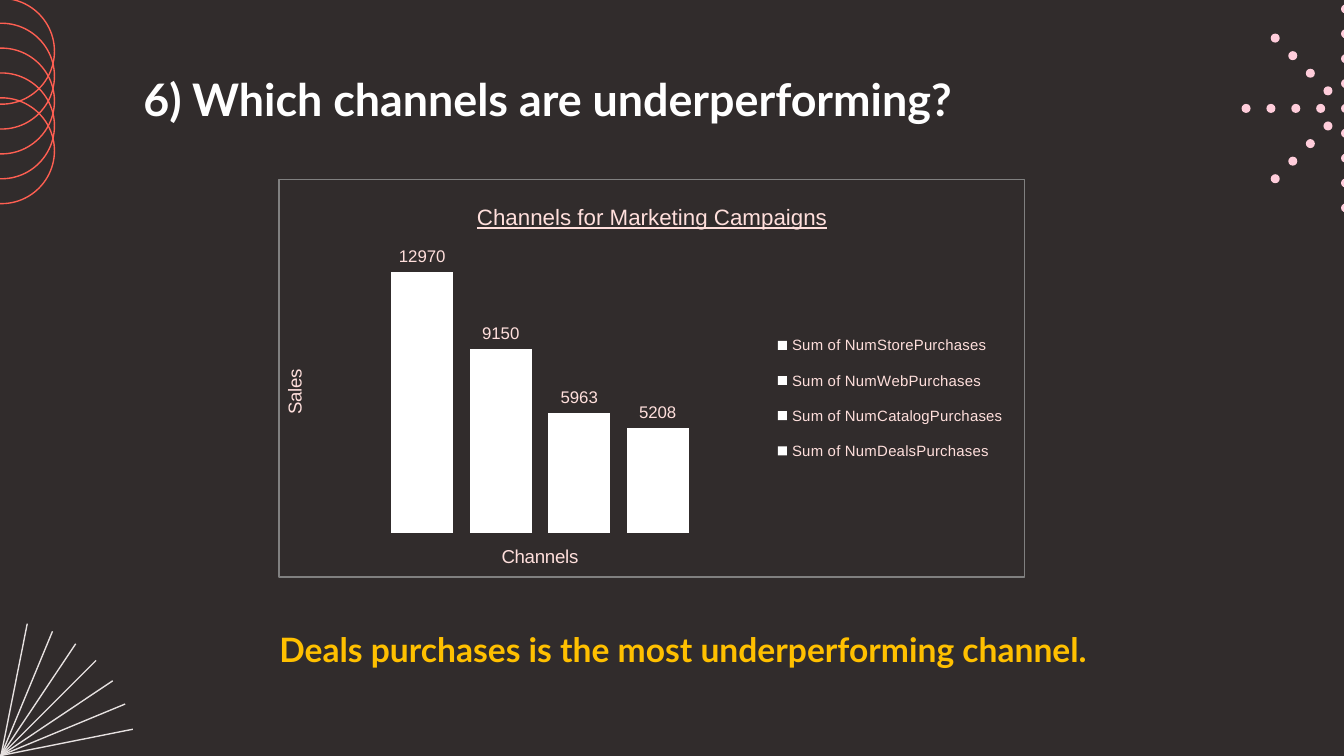
"""Build the slide on underperforming marketing channels."""
from dataclasses import dataclass
from math import cos, radians, sin

from lxml.etree import SubElement
from pptx import Presentation
from pptx.chart.data import CategoryChartData
from pptx.dml.color import RGBColor
from pptx.enum.chart import XL_CHART_TYPE, XL_LABEL_POSITION, XL_LEGEND_POSITION
from pptx.enum.shapes import MSO_CONNECTOR, MSO_SHAPE
from pptx.oxml import parse_xml
from pptx.oxml.ns import nsdecls, qn
from pptx.util import Cm, Pt


@dataclass(frozen=True)
class Theme:
    background: str = "312C2C"
    white: str = "FFFFFF"
    accent: str = "FFC000"
    chart_text: str = "FFDFDC"
    chart_border: str = "808080"
    ray: str = "E6E1E0"
    ring: str = "FF5F52"
    dot: str = "FFCDDB"
    text_font: str = "Lato"
    chart_font: str = "Arial"
    heading_size: int = 24
    conclusion_size: int = 18
    chart_title_size: int = 12
    axis_title_size: int = 10
    label_size: int = 9
    legend_size: int = 8
    line_width: float = 0.75


class SlideBuilder:
    def __init__(self, slide, theme):
        self.slide = slide
        self.theme = theme
        fill = slide.background.fill
        fill.solid()
        fill.fore_color.rgb = RGBColor.from_string(theme.background)

    def style_font(self, font, name, size, color, bold=False):
        font.name = name
        font.size = Pt(size)
        font.bold = bold
        font.color.rgb = RGBColor.from_string(color)

    def text(self, content, left, top, width, height, size, color):
        frame = self.slide.shapes.add_textbox(
            Cm(left), Cm(top), Cm(width), Cm(height)).text_frame
        frame.word_wrap = True
        run = frame.paragraphs[0].add_run()
        run.text = content
        self.style_font(run.font, self.theme.text_font, size, color, bold=True)

    def circle(self, center_x, center_y, diameter, fill=None, line=None):
        shape = self.slide.shapes.add_shape(
            MSO_SHAPE.OVAL, Cm(center_x - diameter / 2),
            Cm(center_y - diameter / 2), Cm(diameter), Cm(diameter))
        shape.shadow.inherit = False
        if fill:
            shape.fill.solid()
            shape.fill.fore_color.rgb = RGBColor.from_string(fill)
        else:
            shape.fill.background()
        if line:
            shape.line.color.rgb = RGBColor.from_string(line)
            shape.line.width = Pt(self.theme.line_width)
        else:
            shape.line.fill.background()

    def line(self, start_x, start_y, end_x, end_y, color):
        connector = self.slide.shapes.add_connector(
            MSO_CONNECTOR.STRAIGHT, Cm(start_x), Cm(start_y), Cm(end_x), Cm(end_y))
        connector.line.color.rgb = RGBColor.from_string(color)
        connector.line.width = Pt(self.theme.line_width)
        SubElement(connector._element.spPr, qn("a:effectLst"))

    def ray_burst(self, center_x, center_y, radius):
        for index in range(1, 8):
            angle = radians(index * 90 / 8)
            across, down = radius * cos(angle), radius * sin(angle)
            self.line(center_x + across, center_y - down,
                      center_x - across, center_y + down, self.theme.ray)

    def ring_stack(self, center_x, first_y, diameter, step, count):
        for index in range(count):
            self.circle(center_x, first_y + index * step, diameter,
                        line=self.theme.ring)

    def dot_star(self, center_x, center_y, diameter, step):
        self.circle(center_x, center_y, diameter, fill=self.theme.dot)
        for degrees in range(90, 271, 45):
            angle = radians(degrees)
            for distance in range(1, 5):
                self.circle(center_x + distance * step * cos(angle),
                            center_y + distance * step * sin(angle),
                            diameter, fill=self.theme.dot)

    def chart_layout(self, element, position, **values):
        for old in element.findall(qn("c:layout")):
            element.remove(old)
        settings = {"xMode": "edge", "yMode": "edge", **values}
        if "layoutTarget" in settings:
            settings = {"layoutTarget": settings.pop("layoutTarget"), **settings}
        entries = "".join(f'<c:{key} val="{value}"/>' for key, value in settings.items())
        element.insert(position, parse_xml(
            f'<c:layout {nsdecls("c")}><c:manualLayout>{entries}'
            '</c:manualLayout></c:layout>'))

    def chart_heading(self, owner, content, size):
        run = owner.text_frame.paragraphs[0].add_run()
        run.text = content
        self.style_font(run.font, self.theme.chart_font, size, self.theme.chart_text)
        return run

    def column_chart(self, title, axis_titles, values, left, top, width, height):
        theme = self.theme
        data = CategoryChartData()
        data.categories = ["1"]
        for name, value in values.items():
            data.add_series(name, [value])
        chart = self.slide.shapes.add_chart(
            XL_CHART_TYPE.COLUMN_CLUSTERED, Cm(left), Cm(top),
            Cm(width), Cm(height), data).chart
        self.style_font(chart.font, theme.chart_font, theme.axis_title_size,
                        theme.chart_text)

        chart.has_title = True
        self.chart_heading(chart.chart_title, title,
                           theme.chart_title_size).font.underline = True
        chart.chart_title.include_in_layout = False
        for axis, heading in zip((chart.category_axis, chart.value_axis), axis_titles):
            axis.visible = False
            axis.has_major_gridlines = False
            axis.has_title = True
            self.chart_heading(axis.axis_title, heading, theme.axis_title_size)
        chart.value_axis.minimum_scale = 0
        chart.value_axis.maximum_scale = 14000

        plot = chart.plots[0]
        plot.gap_width = 219
        plot.overlap = -27
        plot.vary_by_categories = False
        for series in plot.series:
            series.format.fill.solid()
            series.format.fill.fore_color.rgb = RGBColor.from_string(theme.white)
            labels = series.data_labels
            labels.show_value = True
            labels.position = XL_LABEL_POSITION.OUTSIDE_END
            self.style_font(labels.font, theme.chart_font, theme.label_size,
                            theme.chart_text)

        chart.has_legend = True
        legend = chart.legend
        legend.position = XL_LEGEND_POSITION.RIGHT
        legend.include_in_layout = False
        self.style_font(legend.font, theme.chart_font, theme.legend_size,
                        theme.chart_text)

        chart_element = chart._chartSpace.find(qn("c:chart"))
        self.chart_layout(chart_element.find(qn("c:title")), 1, x=0.26, y=0.05)
        self.chart_layout(chart_element.find(qn("c:legend")), 1,
                          x=0.66, y=0.35, w=0.32, h=0.4)
        self.chart_layout(chart_element.find(qn("c:plotArea")), 0,
                          layoutTarget="inner", x=0.06, y=0.18, w=0.58, h=0.71)
        chart_element.addnext(parse_xml(
            f'<c:spPr {nsdecls("c", "a")}><a:noFill/>'
            f'<a:ln w="{Pt(theme.line_width)}"><a:solidFill>'
            f'<a:srgbClr val="{theme.chart_border}"/></a:solidFill></a:ln></c:spPr>'))


def main():
    theme = Theme()
    presentation = Presentation()
    presentation.slide_width = Cm(25.4)
    presentation.slide_height = Cm(14.29)
    slide = presentation.slides.add_slide(presentation.slide_layouts[6])
    builder = SlideBuilder(slide, theme)

    builder.ray_burst(0.02, 14.28, 2.54)
    builder.ring_stack(0.03, 0.97, 2, 0.47, 5)
    builder.dot_star(25.43, 2.05, 0.17, 0.47)
    builder.text("6) Which channels are underperforming?",
                 2.46, 1.24, 18.16, 1.27, theme.heading_size, theme.white)
    builder.column_chart(
        "Channels for Marketing Campaigns", ("Channels", "Sales"),
        {"Sum of NumStorePurchases": 12970, "Sum of NumWebPurchases": 9150,
         "Sum of NumCatalogPurchases": 5963, "Sum of NumDealsPurchases": 5208},
        5.26, 3.38, 14.12, 7.54)
    builder.text("Deals purchases is the most underperforming channel.",
                 5.03, 11.76, 15.82, 1.02, theme.conclusion_size, theme.accent)
    presentation.save("out.pptx")


if __name__ == "__main__":
    main()
